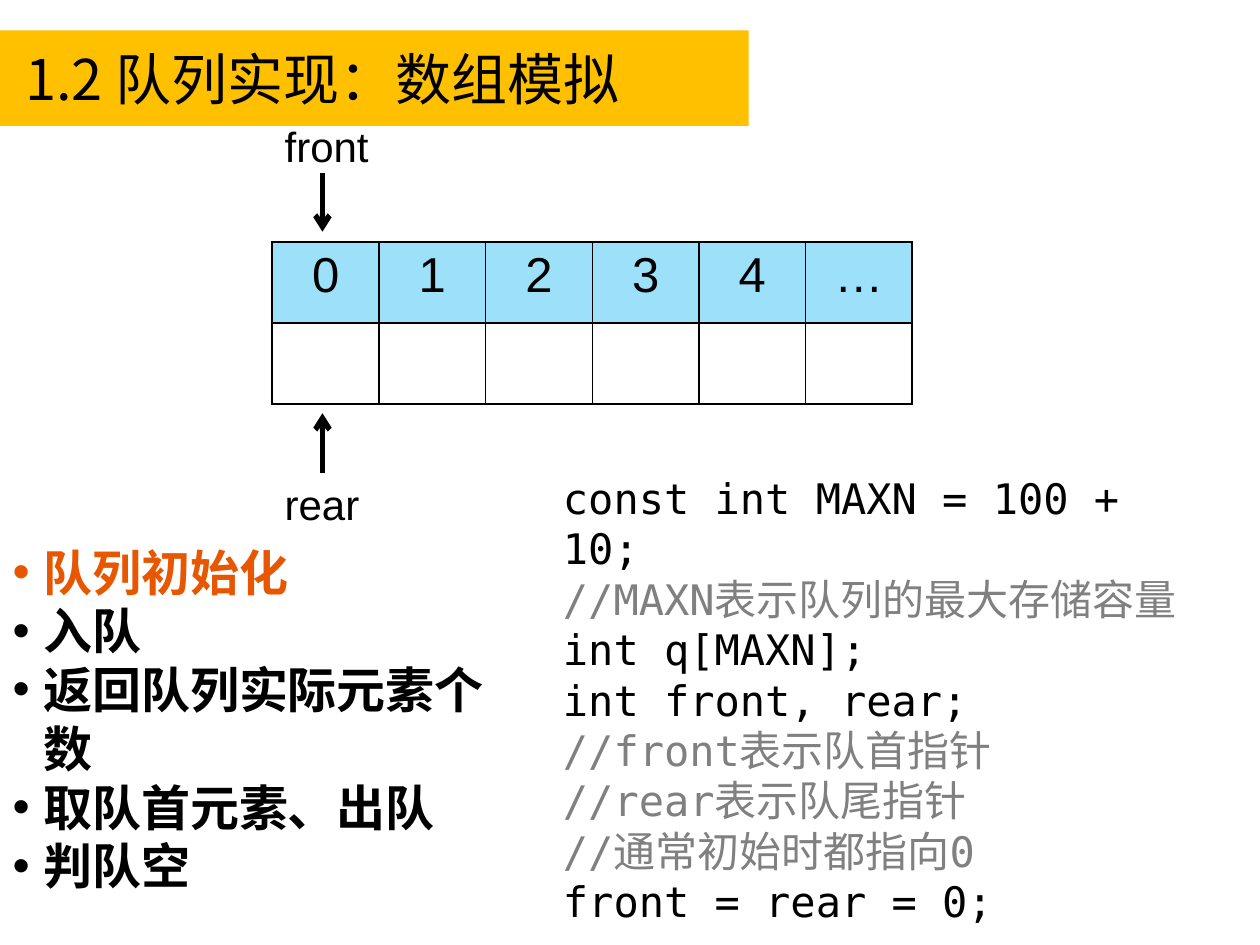
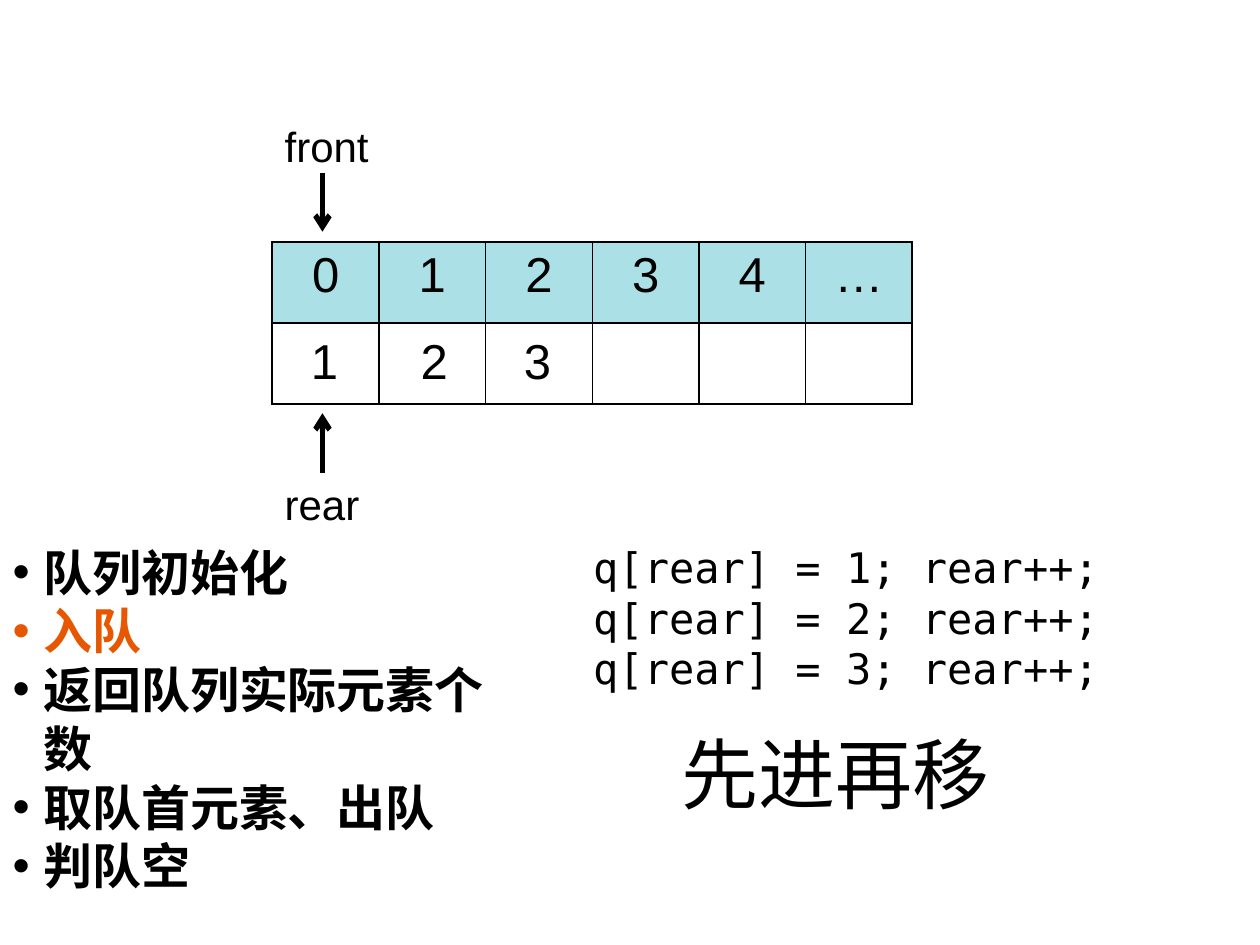
import pptx
import pptx.util
import pptx.dml.color
import pptx.enum.shapes
import pptx.enum.text
import pptx.oxml.ns
import lxml.etree

Cm, Pt = pptx.util.Cm, pptx.util.Pt
RGBColor = pptx.dml.color.RGBColor
qn = pptx.oxml.ns.qn
ANCHOR = pptx.enum.text.MSO_ANCHOR
ALIGN = pptx.enum.text.PP_ALIGN

BLACK = RGBColor(0x00, 0x00, 0x00)
WHITE = RGBColor(0xFF, 0xFF, 0xFF)
GRAY = RGBColor(0x80, 0x80, 0x80)
ORANGE = RGBColor(0xE7, 0x57, 0x01)
AMBER = RGBColor(0xFF, 0xC0, 0x00)
SKY = RGBColor(0x00, 0xB0, 0xF0)
TEAL = RGBColor(0x28, 0xB2, 0xC0)

CJK = "Noto Sans CJK SC"
TITLE = {"name": CJK, "size": Pt(32), "bold": False}
STEP = {"name": CJK, "size": Pt(28), "bold": True}
CODE = {"name": "DejaVu Sans Mono", "size": Pt(24)}
LABEL = {"name": "Arial", "size": Pt(24)}
NUMBER = {"name": "Arial", "size": Pt(28)}
SLOGAN = {"name": "Arial", "size": Pt(44)}

STEPS = ["队列初始化", "入队", "返回队列实际元素个数", "取队首元素、出队", "判队空"]
INDEXES = ["0", "1", "2", "3", "4", "…"]
COL_W, ROW_H = 2.15, 1.63
TABLE_X, TABLE_Y = 5.49, 4.88
ARROW_X = 6.5

SLIDES = [
    {"title": "1.2 队列实现：数组模拟", "active": 0, "head": SKY,
     "code_box": (11.1, 9.4, 13.59, 8.46),
     "code": ["const int MAXN = 100 + 10;", "//MAXN表示队列的最大存储容量",
              "int q[MAXN];", "int front, rear;", "//front表示队首指针",
              "//rear表示队尾指针", "//通常初始时都指向0", "front = rear = 0;"],
     "values": [], "slogan": None},
    {"title": None, "active": 1, "head": TEAL,
     "code_box": (11.71, 10.8, 12.4, 4.37),
     "code": [f"q[rear] = {n}; rear++;" for n in (1, 2, 3)],
     "values": [("1", 6.02), ("2", 8.23), ("3", 10.31)], "slogan": "先进再移"},
]


def write(tf, lines, values, colors=None, spacing=None, align=ALIGN.LEFT):
    """Fill a text frame, one paragraph per line."""
    for i, line in enumerate(lines):
        p = tf.paragraphs[0] if i == 0 else tf.add_paragraph()
        p.alignment = align
        p.space_before = Pt(0)
        if spacing:
            p.line_spacing = spacing
        r = p.add_run()
        r.text = line
        for key, value in values.items():
            setattr(r.font, key, value)
        r.font.color.rgb = colors[i] if colors else BLACK
        ea = lxml.etree.SubElement(r.font._element, qn("a:ea"))
        ea.set("typeface", CJK)


def add_text(s, box, lines, values, wrap=False, **options):
    """Add a text box; box is left, top, width, height in cm."""
    tf = s.shapes.add_textbox(*map(Cm, box)).text_frame
    tf.word_wrap = wrap
    write(tf, lines, values, **options)


prs = pptx.Presentation()
prs.slide_width, prs.slide_height = Cm(25.4), Cm(19.05)

for page in SLIDES:
    s = prs.slides.add_slide(prs.slide_layouts[1])

    # Title band
    title = s.shapes.title
    if page["title"]:
        title.left, title.top, title.width, title.height = map(Cm, (0, 0.61, 15.09, 1.93))
        title.fill.solid()
        title.fill.fore_color.rgb = AMBER
        tf = title.text_frame
        tf.auto_size = pptx.enum.text.MSO_AUTO_SIZE.NONE
        tf.vertical_anchor = ANCHOR.MIDDLE
        tf.margin_left = Cm(0.51)
        write(tf, [page["title"]], TITLE)
    else:
        title._element.getparent().remove(title._element)

    # List of operations, the current one in orange
    body = s.placeholders[1]
    body.left, body.top, body.width, body.height = map(Cm, (0, 10.8, 10.87, 6.25))
    tf = body.text_frame
    tf.auto_size = pptx.enum.text.MSO_AUTO_SIZE.NONE
    tf.word_wrap = True
    tf.vertical_anchor = ANCHOR.TOP
    colors = [ORANGE if i == page["active"] else BLACK for i in range(len(STEPS))]
    write(tf, STEPS, STEP, colors=colors, spacing=Pt(33.6))
    for p in tf.paragraphs:
        pPr = p._p.get_or_add_pPr()
        pPr.set("marL", str(Cm(0.62)))
        pPr.set("indent", str(-Cm(0.62)))
        lxml.etree.SubElement(pPr, qn("a:buFont")).set("typeface", "Arial")
        lxml.etree.SubElement(pPr, qn("a:buChar")).set("char", "•")

    # Array table: indexes above, cells below
    cols = len(INDEXES)
    table = s.shapes.add_table(2, cols, Cm(TABLE_X), Cm(TABLE_Y),
                               Cm(COL_W * cols), Cm(ROW_H * 2)).table
    table.first_row = table.horz_banding = False
    for column in table.columns:
        column.width = Cm(COL_W)
    for row in range(2):
        table.rows[row].height = Cm(ROW_H)
        for col in range(cols):
            cell = table.cell(row, col)
            cell.fill.solid()
            cell.fill.fore_color.rgb = WHITE if row else page["head"]
            tcPr = cell._tc.get_or_add_tcPr()
            if row == 0:
                write(cell.text_frame, [INDEXES[col]], NUMBER, align=ALIGN.CENTER)
                rgb = tcPr.find(".//" + qn("a:srgbClr"))
                lxml.etree.SubElement(rgb, qn("a:alpha")).set("val", "39000")
            outer = {"L": col == 0, "R": col == cols - 1, "T": row == 0, "B": row == 1}
            for i, (side, is_outer) in enumerate(outer.items()):
                ln = lxml.etree.Element(qn("a:ln" + side), w=str(Pt(1.5 if is_outer else 1)))
                fill = lxml.etree.SubElement(ln, qn("a:solidFill"))
                lxml.etree.SubElement(fill, qn("a:srgbClr")).set("val", str(BLACK))
                tcPr.insert(i, ln)

    # Front and rear pointers
    for name, y, width, start, end in (("front", 2.31, 2.24, 3.48, 4.67),
                                       ("rear", 9.53, 2.03, 9.53, 8.33)):
        add_text(s, (TABLE_X, y, width, 1.27), [name], LABEL)
        arrow = s.shapes.add_connector(pptx.enum.shapes.MSO_CONNECTOR.STRAIGHT,
                                       Cm(ARROW_X), Cm(start), Cm(ARROW_X), Cm(end))
        arrow.line.color.rgb = BLACK
        arrow.line.width = Pt(3)
        ln = arrow.line._get_or_add_ln()
        lxml.etree.SubElement(ln, qn("a:tailEnd")).set("type", "arrow")
        lxml.etree.SubElement(arrow._element.spPr, qn("a:effectLst"))

    # Code, comments in gray
    colors = [GRAY if line.startswith("//") else BLACK for line in page["code"]]
    add_text(s, page["code_box"], page["code"], CODE, wrap=True,
             colors=colors, spacing=Pt(28.8))

    # Stored values and slogan
    for value, x in page["values"]:
        add_text(s, (x, 6.53, 1.07, 1.45), [value], NUMBER)
    if page["slogan"]:
        add_text(s, (13.49, 14.53, 6.78, 2.13), [page["slogan"]], SLOGAN)

prs.save("out.pptx")
